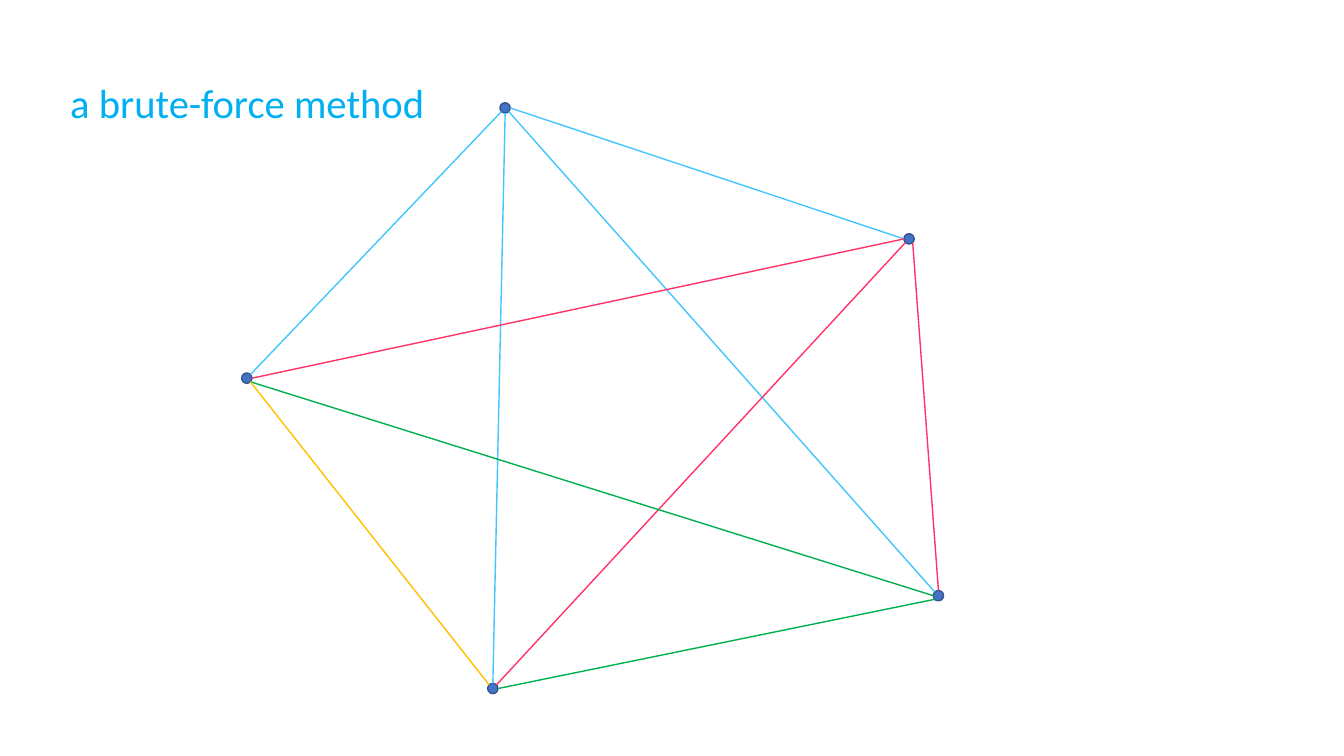
from math import cos, pi, sin

from lxml.etree import SubElement
from pptx import Presentation
from pptx.dml.color import RGBColor
from pptx.enum.shapes import MSO_CONNECTOR, MSO_SHAPE
from pptx.enum.text import MSO_AUTO_SIZE
from pptx.oxml.ns import qn
from pptx.util import Cm, Pt

HUES = {
    "title": "00B0F0", "dot": "4472C4", "rim": "325491",
    "blue": "43C5FF", "red": "FF3368", "green": "00B050", "gold": "FFC000",
}
TITLE = "a brute-force method"
SIZE = 0.26
DOTS = {
    "top": (12.73, 2.72),
    "right": (22.91, 6.02),
    "left": (6.22, 9.53),
    "low": (23.65, 15.01),
    "base": (12.42, 17.35),
}
EDGES = [
    ("left", 7, "top", 3, "blue"),
    ("base", 0, "top", 4, "blue"),
    ("top", 6, "right", 2, "blue"),
    ("top", 5, "low", 1, "blue"),
    ("right", 2, "left", 6, "red"),
    ("right", 3, "base", 7, "red"),
    ("right", 5, "low", 0, "red"),
    ("low", 2, "left", 5, "green"),
    ("low", 3, "base", 6, "green"),
    ("left", 5, "base", 1, "gold"),
]


def hue(name):
    return RGBColor.from_string(HUES[name])


def site(name, step):
    x, y = DOTS[name]
    turn = step * pi / 4
    return Cm(x - SIZE / 2 * sin(turn)), Cm(y - SIZE / 2 * cos(turn))


def add_dot(shapes, x, y):
    dot = shapes.add_shape(MSO_SHAPE.OVAL, Cm(x - SIZE / 2), Cm(y - SIZE / 2), Cm(SIZE), Cm(SIZE))
    dot.shadow.inherit = False
    dot.fill.solid()
    dot.fill.fore_color.rgb = hue("dot")
    dot.line.color.rgb = hue("rim")
    dot.line.width = Pt(1)


def add_edge(shapes, start, out, end, into, tint):
    edge = shapes.add_connector(MSO_CONNECTOR.STRAIGHT, *site(start, out), *site(end, into))
    edge.line.color.rgb = hue(tint)
    edge.line.width = Pt(1)
    SubElement(edge._element.spPr, qn("a:effectLst"))


def add_title(shapes):
    frame = shapes.add_textbox(Cm(1.52), Cm(1.83), Cm(9.63), Cm(1.5)).text_frame
    frame.word_wrap = True
    frame.auto_size = MSO_AUTO_SIZE.SHAPE_TO_FIT_TEXT
    line = frame.paragraphs[0]
    line.text = TITLE
    line.font.name = "Calibri"
    line.font.size = Pt(29)
    line.font.color.rgb = hue("title")


def main():
    deck = Presentation()
    deck.slide_width, deck.slide_height = Cm(33.87), Cm(19.05)
    shapes = deck.slides.add_slide(deck.slide_layouts[6]).shapes
    for spot in DOTS.values():
        add_dot(shapes, *spot)
    for edge in EDGES:
        add_edge(shapes, *edge)
    add_title(shapes)
    deck.save("out.pptx")


if __name__ == "__main__":
    main()
